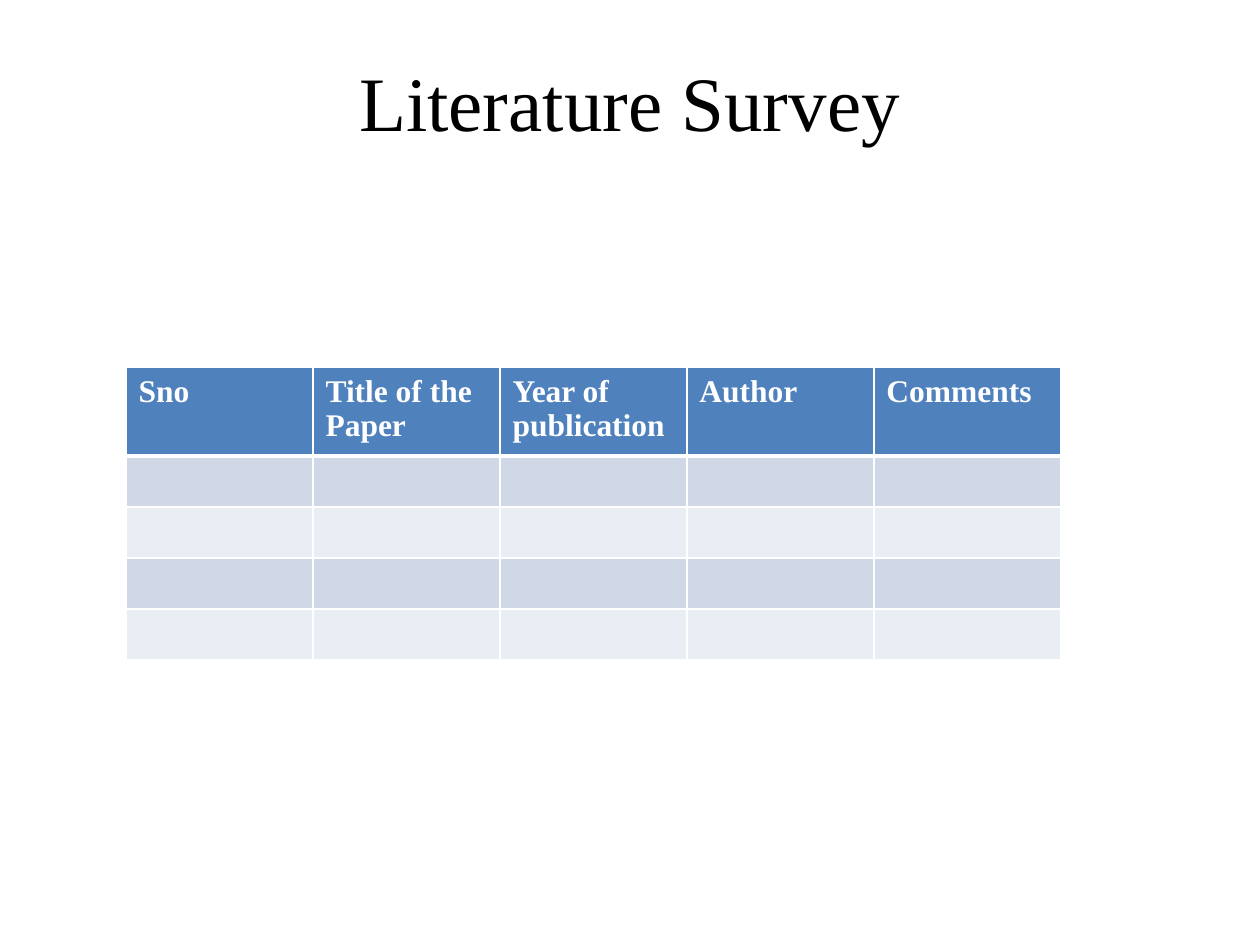
from dataclasses import dataclass

from lxml.etree import SubElement
from pptx import Presentation
from pptx.dml.color import RGBColor
from pptx.enum.text import MSO_ANCHOR, PP_ALIGN
from pptx.oxml.ns import qn
from pptx.util import Inches, Pt


@dataclass(frozen=True)
class Theme:
    font: str = "Times New Roman"
    title_size: int = 44
    heading_size: int = 18
    ink: str = "000000"
    paper: str = "FFFFFF"
    header: str = "4F81BD"
    bands: tuple = ("D0D8E8", "E9EDF4")
    rule: int = 1
    header_rule: int = 3


class SlideBuilder:
    """Places elements on a grid of 100 columns by 100 rows."""

    def __init__(self, deck, theme):
        self.theme = theme
        self.column = deck.slide_width / 100
        self.row = deck.slide_height / 100
        self.slide = deck.slides.add_slide(deck.slide_layouts[6])

    def box(self, left, top, width, height):
        return (round(left * self.column), round(top * self.row),
                round(width * self.column), round(height * self.row))

    def style(self, paragraph, size, color, bold=False):
        font = paragraph.font
        font.name, font.size, font.bold = self.theme.font, Pt(size), bold
        font.color.rgb = RGBColor.from_string(color)

    def title(self, text, *area):
        frame = self.slide.shapes.add_textbox(*self.box(*area)).text_frame
        frame.word_wrap = True
        frame.vertical_anchor = MSO_ANCHOR.TOP
        frame.margin_top = Inches(0.13)
        heading = frame.paragraphs[0]
        heading.text = text
        heading.alignment = PP_ALIGN.CENTER
        self.style(heading, self.theme.title_size, self.theme.ink)

    def borders(self, cell, bottom):
        properties = cell._tc.get_or_add_tcPr()
        widths = {"lnL": self.theme.rule, "lnR": self.theme.rule,
                  "lnT": self.theme.rule, "lnB": bottom}
        for position, (side, width) in enumerate(widths.items()):
            line = SubElement(properties, qn(f"a:{side}"), w=str(Pt(width)))
            fill = SubElement(line, qn("a:solidFill"))
            SubElement(fill, qn("a:srgbClr"), val=self.theme.paper)
            properties.insert(position, line)

    def fill_cell(self, cell, color, bottom):
        cell.fill.solid()
        cell.fill.fore_color.rgb = RGBColor.from_string(color)
        self.borders(cell, bottom)

    def banded_table(self, headings, empty_rows, left, top, width,
                     header_height, row_height):
        theme = self.theme
        height = header_height + empty_rows * row_height
        table = self.slide.shapes.add_table(
            empty_rows + 1, len(headings),
            *self.box(left, top, width, height)).table
        for index, row in enumerate(table.rows):
            is_header = index == 0
            row.height = round(self.row * (header_height if is_header else row_height))
            color = theme.header if is_header else theme.bands[(index - 1) % 2]
            bottom = theme.header_rule if is_header else theme.rule
            for cell in row.cells:
                self.fill_cell(cell, color, bottom)
        for cell, heading in zip(table.rows[0].cells, headings):
            cell.text = heading
            self.style(cell.text_frame.paragraphs[0], theme.heading_size,
                       theme.paper, bold=True)
        # The header rule is shared with the first row below it
        for cell in table.rows[1].cells:
            cell._tc.tcPr.find(qn("a:lnT")).set("w", str(Pt(theme.header_rule)))


def main():
    deck = Presentation()
    deck.slide_width, deck.slide_height = Inches(10), Inches(7.5)
    survey = SlideBuilder(deck, Theme())

    # Title
    survey.title("Literature Survey", 5, 4, 90, 16.67)

    # Survey table, ready to be filled in
    survey.banded_table(
        ["Sno", "Title of the Paper", "Year of publication", "Author", "Comments"],
        empty_rows=4, left=10, top=38.9, width=74.2,
        header_height=9.3, row_height=5.4)

    deck.save("out.pptx")


if __name__ == "__main__":
    main()
